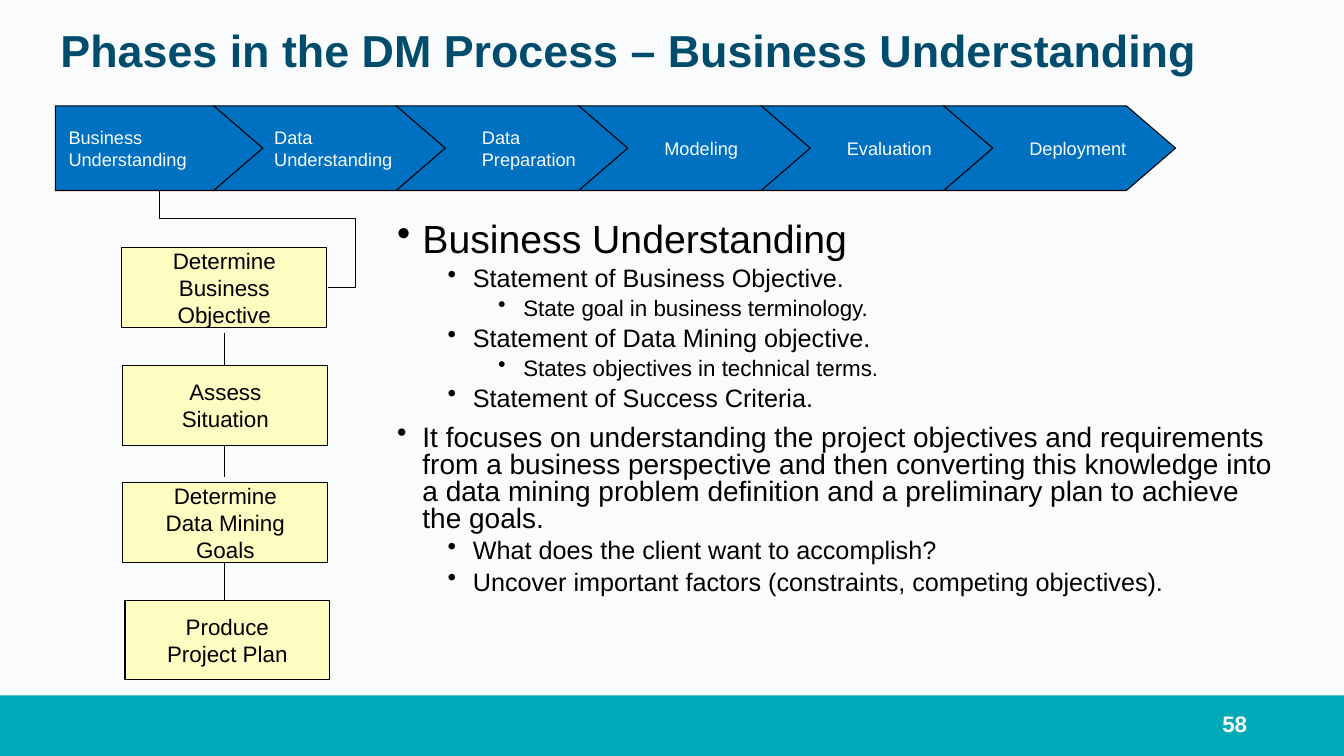
"""Builds the slide on the business understanding phase of data mining."""
from dataclasses import dataclass

from lxml.etree import SubElement
from pptx import Presentation
from pptx.dml.color import RGBColor
from pptx.enum.shapes import MSO_CONNECTOR as Connector, MSO_SHAPE as Preset
from pptx.enum.text import MSO_ANCHOR as Anchor, PP_ALIGN as Align
from pptx.oxml.ns import qn
from pptx.shapes.autoshape import Shape
from pptx.slide import Slide
from pptx.text.text import TextFrame
from pptx.util import Inches, Pt

BACKGROUND = RGBColor(0xFA, 0xFB, 0xFC)
TEAL = RGBColor(0x00, 0xA9, 0xB7)
NAVY = RGBColor(0x00, 0x4C, 0x6C)
BLUE = RGBColor(0x00, 0x70, 0xC0)
CREAM = RGBColor(0xFF, 0xFC, 0xC2)
BLACK = RGBColor(0x00, 0x00, 0x00)
WHITE = RGBColor(0xFA, 0xFB, 0xFD)

PHASE_TOP, PHASE_HEIGHT = 1.05, 0.84
PHASE_STEP = 1.81
TASK_WIDTH, TASK_HEIGHT = 2.03, 0.79
TASK_TOP, TASK_STEP = 2.46, 1.165
LINK_X = 2.23


@dataclass(frozen=True)
class Phase:
    label: str
    text_left: float


@dataclass(frozen=True)
class Task:
    label: str
    left: float


@dataclass(frozen=True)
class Link:
    top: float
    bottom: float


@dataclass(frozen=True)
class Bullet:
    text: str
    level: int
    size: int


PHASES = [
    Phase("Business\nUnderstanding", 0.62),
    Phase("Data\nUnderstanding", 2.66),
    Phase("Data\nPreparation", 4.72),
    Phase("Modeling", 6.53),
    Phase("Evaluation", 8.34),
    Phase("Deployment", 10.15),
]
TASKS = [
    Task("Determine\nBusiness\nObjective", 1.21),
    Task("Assess\nSituation", 1.22),
    Task("Determine\nData Mining\nGoals", 1.22),
    Task("Produce\nProject Plan", 1.24),
]
LINKS = [Link(3.3, 3.62), Link(4.42, 4.73), Link(5.58, 5.96)]
BULLETS = [
    Bullet("Business Understanding", 0, 28),
    Bullet("Statement of Business Objective.", 1, 18),
    Bullet("State goal in business terminology.", 2, 16),
    Bullet("Statement of Data Mining objective.", 1, 18),
    Bullet("States objectives in technical terms.", 2, 16),
    Bullet("Statement of Success Criteria.", 1, 18),
    Bullet("It focuses on understanding the project objectives and requirements "
           "from a business perspective and then converting this knowledge into "
           "a data mining problem definition and a preliminary plan to achieve "
           "the goals.", 0, 20),
    Bullet("What does the client want to accomplish?", 1, 18),
    Bullet("Uncover important factors (constraints, competing objectives).", 1, 18),
]


def set_margins(frame: TextFrame, side: float, vertical: float) -> None:
    """Set the insets of a text frame."""
    frame.margin_left = frame.margin_right = Inches(side)
    frame.margin_top = frame.margin_bottom = Inches(vertical)


def write(frame: TextFrame, text: str, size: int, color: RGBColor,
          align: Align = Align.LEFT, bold: bool = False) -> None:
    """Fill a frame with one paragraph a line, centred vertically."""
    frame.vertical_anchor = Anchor.MIDDLE
    frame.text = text
    for para in frame.paragraphs:
        para.alignment = align
        font = para.font
        font.name, font.size, font.bold = "Arial", Pt(size), bold
        font.color.rgb = color


def add_text(page: Slide, left: float, top: float, width: float, height: float,
             wrap: bool = False) -> TextFrame:
    """Add a text box and return its frame."""
    box = page.shapes.add_textbox(Inches(left), Inches(top), Inches(width), Inches(height))
    frame = box.text_frame
    frame.word_wrap = wrap
    set_margins(frame, 0.05, 0.05)
    return frame


def add_box(page: Slide, preset: Preset, left: float, top: float, width: float,
            height: float, fill: RGBColor, outlined: bool = True) -> Shape:
    """Add a filled preset shape."""
    box = page.shapes.add_shape(preset, Inches(left), Inches(top), Inches(width), Inches(height))
    box.shadow.inherit = False
    box.fill.solid()
    box.fill.fore_color.rgb = fill
    if outlined:
        box.line.color.rgb = BLACK
        box.line.width = Pt(0.75)
    else:
        box.line.fill.background()
    return box


def add_phase(page: Slide, index: int, phase: Phase) -> None:
    """Add one arrow of the phase band with its label."""
    if index == 0:
        arrow = add_box(page, Preset.PENTAGON, 0.55, PHASE_TOP, 2.06, PHASE_HEIGHT, BLUE)
    else:
        left = 2.12 + PHASE_STEP * (index - 1)
        arrow = add_box(page, Preset.CHEVRON, left, PHASE_TOP, 2.3, PHASE_HEIGHT, BLUE)
    arrow.adjustments[0] = 0.58
    frame = add_text(page, phase.text_left, PHASE_TOP, 1.3, PHASE_HEIGHT)
    set_margins(frame, 0.06, 0.06)
    write(frame, phase.label, 13, WHITE)


def add_task(page: Slide, index: int, task: Task) -> None:
    """Add one labelled box of the task column."""
    top = TASK_TOP + TASK_STEP * index
    box = add_box(page, Preset.RECTANGLE, task.left, top, TASK_WIDTH, TASK_HEIGHT, CREAM)
    set_margins(box.text_frame, 0.06, 0)
    write(box.text_frame, task.label, 16, BLACK, Align.CENTER)


def add_link(page: Slide, link: Link) -> None:
    """Add a vertical line between two tasks."""
    line = page.shapes.add_connector(Connector.STRAIGHT, Inches(LINK_X), Inches(link.top),
                                     Inches(LINK_X), Inches(link.bottom))
    line.line.color.rgb = BLACK
    line.line.width = Pt(0.75)
    SubElement(line._element.spPr, qn("a:effectLst"))


def add_phase_link(page: Slide) -> None:
    """Add the bent line from the first phase to the first task."""
    corners = [(1.58, 2.17), (3.53, 2.17), (3.53, 2.85), (3.25, 2.85)]
    builder = page.shapes.build_freeform(Inches(1.58), Inches(1.89))
    builder.add_line_segments([(Inches(x), Inches(y)) for x, y in corners], close=False)
    bend = builder.convert_to_shape()
    bend.shadow.inherit = False
    bend.fill.background()
    bend.line.color.rgb = BLACK
    bend.line.width = Pt(0.75)


def add_bullets(page: Slide) -> None:
    """Add the bulleted body text."""
    frame = add_text(page, 3.89, 2.17, 8.87, 4.38, wrap=True)
    for index, bullet in enumerate(BULLETS):
        para = frame.add_paragraph() if index else frame.paragraphs[0]
        para.text = bullet.text
        para.level = bullet.level
        properties = para._p.get_or_add_pPr()
        properties.set("marL", str(Inches(0.25 + 0.5 * bullet.level)))
        properties.set("indent", str(Inches(-0.25)))
        SubElement(properties, qn("a:buChar"), char="•")
        para.line_spacing = 0.8
        if index:
            para.space_before = Pt(5 if bullet.level else 10)
        para.font.name, para.font.size = "Arial", Pt(bullet.size)
        para.font.color.rgb = BLACK


def main() -> None:
    """Build and save the deck."""
    deck = Presentation()
    deck.slide_width, deck.slide_height = Inches(13.33), Inches(7.5)
    page = deck.slides.add_slide(deck.slide_layouts[6])
    page.background.fill.solid()
    page.background.fill.fore_color.rgb = BACKGROUND
    add_box(page, Preset.RECTANGLE, 0, 6.9, 13.33, 0.6, TEAL, outlined=False)
    title = add_text(page, 0.55, 0.19, 11.68, 0.68, wrap=True)
    write(title, "Phases in the DM Process – Business Understanding", 32, NAVY, bold=True)
    title.paragraphs[0].line_spacing = 0.9
    add_bullets(page)
    write(add_text(page, 12.06, 7, 0.36, 0.36), "58", 16, WHITE, Align.RIGHT, bold=True)
    for index, phase in enumerate(PHASES):
        add_phase(page, index, phase)
    for index, task in enumerate(TASKS):
        add_task(page, index, task)
    add_phase_link(page)
    for link in LINKS:
        add_link(page, link)
    deck.save("out.pptx")


if __name__ == "__main__":
    main()
